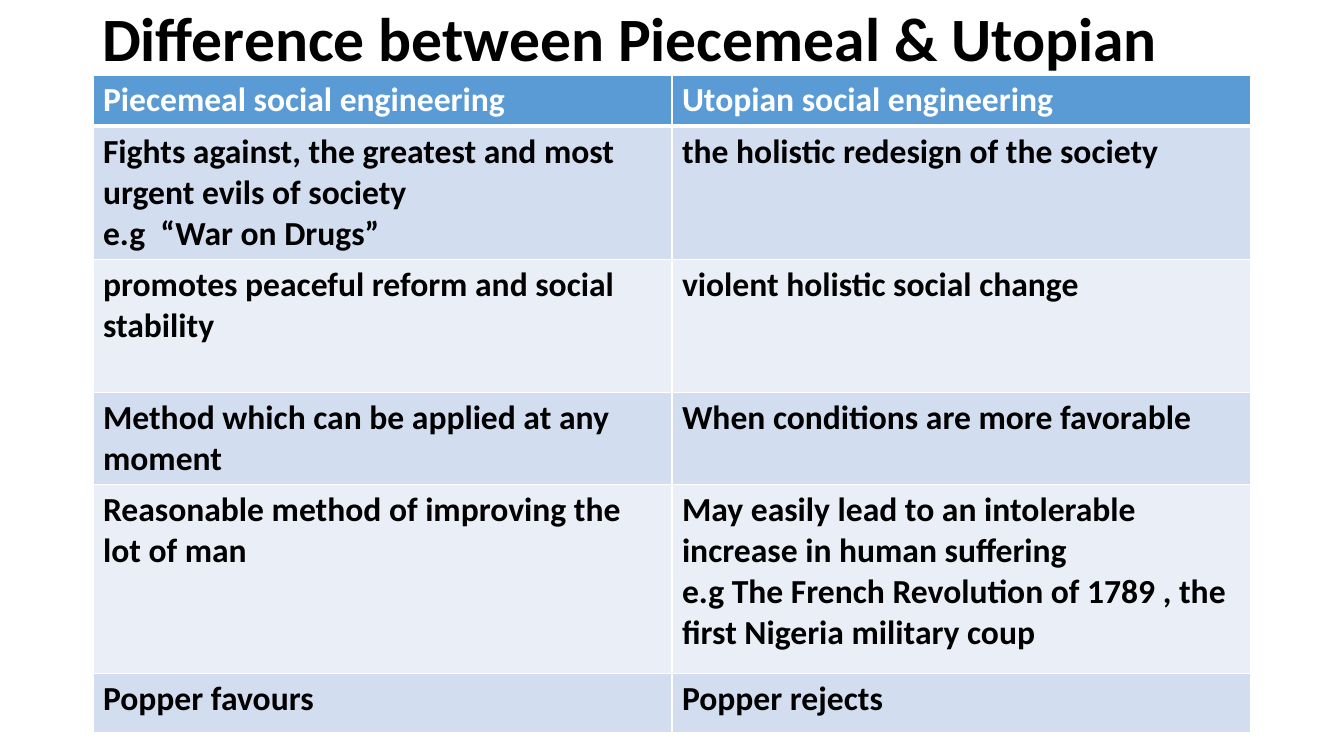
from lxml import etree
from pptx import Presentation, util as u
from pptx.dml.color import RGBColor
from pptx.enum import text as t
from pptx.oxml import ns

PX = 9071  # EMU in one pixel
HUES = {"ink": "000000", "white": "FFFFFF", "head": "5B9BD5",
        "dark": "D2DEEF", "light": "EAEFF7"}
ROWS = [
    (51, ["Piecemeal social engineering"], ["Utopian social engineering"]),
    (133, ["Fights against, the greatest and most urgent evils of society",
           "e.g  “War on Drugs”"],
     ["the holistic redesign of the society"]),
    (133, ["promotes peaceful reform and social stability"],
     ["violent holistic social change"]),
    (92, ["Method which can be applied at any moment"],
     ["When conditions are more favorable"]),
    (189, ["Reasonable method of improving the lot of man"],
     ["May easily lead to an intolerable increase in human suffering",
      "e.g The French Revolution of 1789 , the first Nigeria military coup"]),
    (59, ["Popper favours"], ["Popper rejects"]),
]


def write(frame, lines, size=24, hue="ink", gap=None):
    """Fill a text frame with bold, left-aligned paragraphs."""
    for i, line in enumerate(lines):
        para = frame.paragraphs[0] if i == 0 else frame.add_paragraph()
        para.alignment = t.PP_ALIGN.LEFT
        para.line_spacing = gap
        run = para.add_run()
        run.text = line
        run.font.name = "Calibri"
        run.font.size = u.Pt(size)
        run.font.bold = True
        run.font.color.rgb = RGBColor.from_string(HUES[hue])


def edge(cell, side, width):
    """Draw one white border of a cell, width in points."""
    line = etree.SubElement(cell._tc.get_or_add_tcPr(), ns.qn("a:ln" + side),
                            w=str(u.Pt(width)))
    fill = etree.SubElement(line, ns.qn("a:solidFill"))
    etree.SubElement(fill, ns.qn("a:srgbClr"), val=HUES["white"])


deck = Presentation()
deck.slide_width, deck.slide_height = u.Inches(13.333), u.Inches(7.5)
slide = deck.slides.add_slide(deck.slide_layouts[5])

title = slide.shapes.title
title.left, title.top = 92 * PX, 0
title.width, title.height = 1159 * PX, 83 * PX
title.text_frame.vertical_anchor = t.MSO_ANCHOR.MIDDLE
title.text_frame.auto_size = t.MSO_AUTO_SIZE.NONE
write(title.text_frame, ["Difference between Piecemeal & Utopian"],
      size=44, gap=0.9)

high = sum(row[0] for row in ROWS)
table = slide.shapes.add_table(len(ROWS), 2, 93 * PX, 75 * PX,
                               1158 * PX, high * PX).table
for i, (tall, *cells) in enumerate(ROWS):
    table.rows[i].height = tall * PX
    shade = "head" if i == 0 else "dark" if i % 2 else "light"
    for j, lines in enumerate(cells):
        cell = table.cell(i, j)
        for side in "LRTB":
            thick = (side, i) in (("B", 0), ("T", 1))
            edge(cell, side, 3 if thick else 1)
        cell.fill.solid()
        cell.fill.fore_color.rgb = RGBColor.from_string(HUES[shade])
        write(cell.text_frame, lines, hue="white" if i == 0 else "ink")

deck.save("out.pptx")
